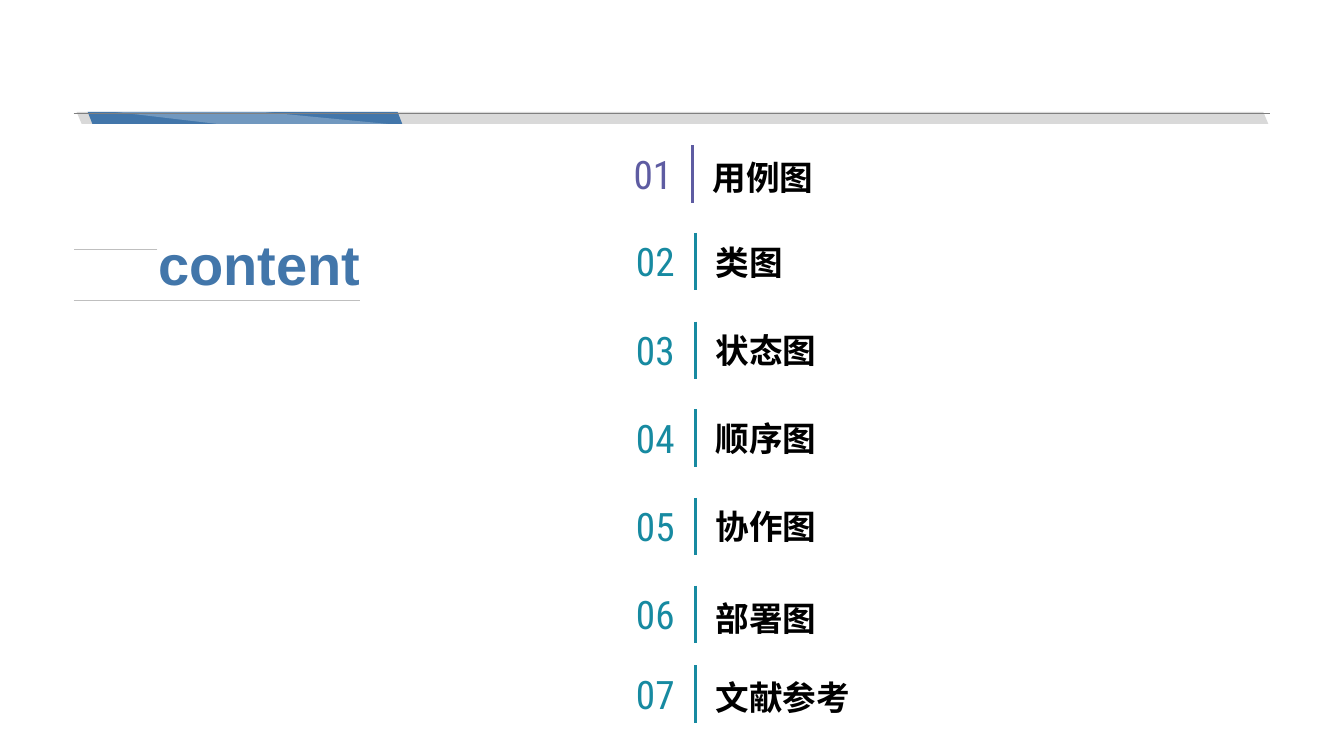
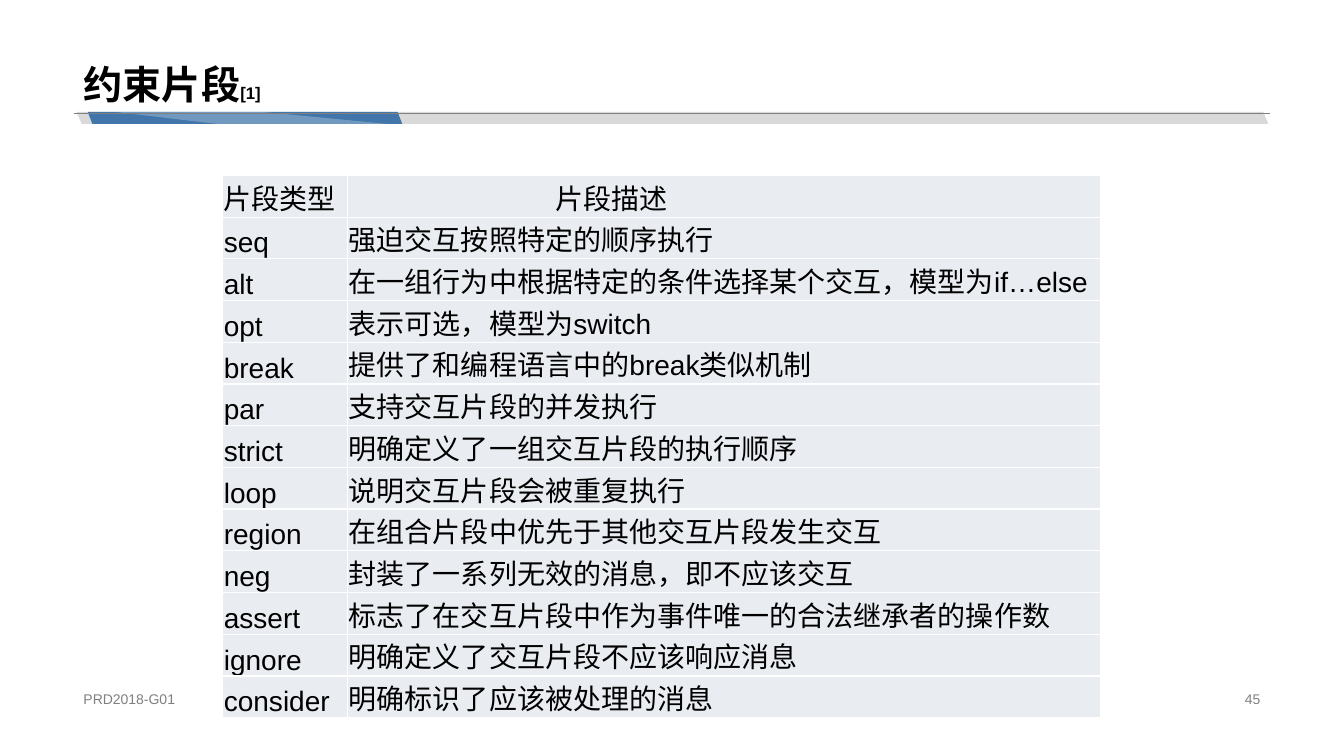
from lxml import etree
from pptx import Presentation
from pptx.dml.color import RGBColor
from pptx.enum.shapes import MSO_CONNECTOR, MSO_SHAPE
from pptx.enum.text import MSO_ANCHOR, MSO_AUTO_SIZE, PP_ALIGN
from pptx.oxml.ns import qn
from pptx.util import Inches, Pt

PARALLELOGRAM = MSO_SHAPE.PARALLELOGRAM
STRAIGHT = MSO_CONNECTOR.STRAIGHT
MIDDLE, BOTTOM = MSO_ANCHOR.MIDDLE, MSO_ANCHOR.BOTTOM
LEFT, CENTER, RIGHT = PP_ALIGN.LEFT, PP_ALIGN.CENTER, PP_ALIGN.RIGHT

WIDTH, HEIGHT = 13.33, 7.5
MARGIN = 0.73
RIGHT_EDGE = 12.6
TITLE_ONLY = 5
FONT, NUMBER_FONT = "Arial", "Roboto Condensed"
COLORS = {
    "blue": "4276AA", "band": "D9D9D9", "white": "FFFFFF", "black": "000000",
    "gray": "808080", "rule": "BFBFBF", "purple": "5E5CA2", "teal": "178AA1",
    "cell": "E9ECF1",
}

# Label, top of the row, distance from there to the bottom of the label
AGENDA = [
    ("用例图", 1.44, 0.57), ("类图", 2.31, 0.54), ("状态图", 3.19, 0.53),
    ("顺序图", 4.06, 0.53), ("协作图", 4.94, 0.53), ("部署图", 5.81, 0.57),
    ("文献参考", 6.6, 0.56),
]
FRAGMENTS = [
    ("片段类型", "片段描述"),
    ("seq", "强迫交互按照特定的顺序执行"),
    ("alt", "在一组行为中根据特定的条件选择某个交互，模型为if…else"),
    ("opt", "表示可选，模型为switch"),
    ("break", "提供了和编程语言中的break类似机制"),
    ("par", "支持交互片段的并发执行"),
    ("strict", "明确定义了一组交互片段的执行顺序"),
    ("loop", "说明交互片段会被重复执行"),
    ("region", "在组合片段中优先于其他交互片段发生交互"),
    ("neg", "封装了一系列无效的消息，即不应该交互"),
    ("assert", "标志了在交互片段中作为事件唯一的合法继承者的操作数"),
    ("ignore", "明确定义了交互片段不应该响应消息"),
    ("consider", "明确标识了应该被处理的消息"),
]


def rgb(name):
    return RGBColor.from_string(COLORS[name])


def fill_plain(shape, color):
    shape.shadow.inherit = False
    shape.fill.solid()
    shape.fill.fore_color.rgb = rgb(color)
    shape.line.fill.background()


def style_run(run, size, color="black", bold=False, font=FONT):
    run.font.name = font
    run.font.size = Pt(size)
    run.font.bold = bold
    run.font.color.rgb = rgb(color)


def add_line(slide, start, end, color, weight):
    line = slide.shapes.add_connector(STRAIGHT, *map(Inches, start + end))
    line.line.color.rgb = rgb(color)
    line.line.width = Pt(weight)
    etree.SubElement(line.element.spPr, qn("a:effectLst"))
    return line


def add_text(slide, box, text, size, color="black", align=LEFT, anchor=MIDDLE,
             bold=False, font=FONT, side_inset=0.1):
    frame = slide.shapes.add_textbox(*map(Inches, box)).text_frame
    frame.word_wrap = True
    frame.margin_left = frame.margin_right = Inches(side_inset)
    frame.vertical_anchor = anchor
    frame.text = text
    paragraph = frame.paragraphs[0]
    paragraph.alignment = align
    style_run(paragraph.runs[0], size, color, bold, font)


def set_title(slide, box, parts, color, anchor, wrap):
    """Place the title; parts holds (text, size) for each run."""
    title = slide.shapes.title
    title.left, title.top, title.width, title.height = map(Inches, box)
    frame = title.text_frame
    frame.auto_size = MSO_AUTO_SIZE.NONE
    frame.word_wrap = wrap
    frame.vertical_anchor = anchor
    paragraph = frame.paragraphs[0]
    paragraph.alignment = LEFT
    paragraph.line_spacing = 0.9
    for text, size in parts:
        run = paragraph.add_run()
        run.text = text
        style_run(run, size, color, bold=True)


def add_slanted_bar(slide, box, slant, color):
    bar = slide.shapes.add_shape(PARALLELOGRAM, *map(Inches, box))
    bar.adjustments[0] = slant
    bar.element.spPr.find(qn("a:xfrm")).set("flipH", "1")
    fill_plain(bar, color)
    return bar


def add_header_band(slide, layout, top, height):
    """Draw the band and hand it to the layout, so that every slide shows it."""
    bottom = top + height
    track = add_slanted_bar(slide, (0.76, top, 11.82, height), 0.42, "band")
    accent = add_slanted_bar(slide, (0.87, top, 3.12, height), 0.39, "blue")
    corners = [(3.85, bottom), (2.6, top), (1.14, top), (2.16, bottom)]
    points = [(Inches(x), Inches(y)) for x, y in corners]
    builder = slide.shapes.build_freeform(*points[0])
    builder.add_line_segments(points[1:], close=True)
    gloss = builder.convert_to_shape()
    fill_plain(gloss, "white")
    white = gloss.element.spPr.find(qn("a:solidFill"))[0]
    etree.SubElement(white, qn("a:alpha")).set("val", "25000")
    rule = add_line(slide, (MARGIN, 1.12), (RIGHT_EDGE, 1.12), "gray", 0.25)
    for number, shape in enumerate((track, accent, gloss, rule), 100):
        shape.element.xpath(".//p:cNvPr")[0].set("id", str(number))
        layout.shapes.element.append(shape.element)


def add_footer(slide, label, number):
    top, height = 6.82, 0.23
    add_text(slide, (MARGIN, top, 4.53, height), label, 10, "gray")
    add_text(slide, (RIGHT_EDGE - 3.18, top, 3.18, height), number, 10, "gray", RIGHT)


def add_agenda_row(slide, left, top, number, label, label_bottom, active):
    color = "purple" if active else "teal"
    number_width = 0.51 if active else 0.56
    bar = left + (0.65 if active else 0.68)
    add_text(slide, (left, top + 0.03, number_width, 0.5), f"{number:02}", 28,
             color, CENTER, font=NUMBER_FONT, side_inset=0)
    add_line(slide, (bar, top), (bar, top + 0.57), color, 2.25)
    add_text(slide, (bar + 0.1, top + label_bottom - 0.62, 3.95, 0.62), label, 24,
             anchor=BOTTOM, bold=True)


def build_agenda_slide(slide):
    set_title(slide, (1.47, 2.29, 2.21, 0.72), [("content", 40)], "blue", MIDDLE, False)
    add_line(slide, (1.56, 2.47), (MARGIN, 2.47), "rule", 0.5)
    add_line(slide, (MARGIN, 2.98), (3.57, 2.98), "rule", 0.5)
    for number, (label, top, label_bottom) in enumerate(AGENDA, 1):
        add_agenda_row(slide, 6.22, top, number, label, label_bottom, number == 1)


def set_borders(cell, color, weight):
    properties = cell._tc.get_or_add_tcPr()
    for position, side in enumerate(("a:lnL", "a:lnR", "a:lnT", "a:lnB")):
        border = etree.Element(qn(side), w=str(Pt(weight)))
        fill = etree.SubElement(border, qn("a:solidFill"))
        etree.SubElement(fill, qn("a:srgbClr")).set("val", COLORS[color])
        properties.insert(position, border)


def add_fragment_table(slide, left, top, column_widths, height):
    box = (left, top, sum(column_widths), height)
    table = slide.shapes.add_table(
        len(FRAGMENTS), len(column_widths), *map(Inches, box)).table
    table.first_row = table.horz_banding = False
    for column, width in zip(table.columns, column_widths):
        column.width = Inches(width)
    for row, texts in zip(table.rows, FRAGMENTS):
        row.height = Inches(height / len(FRAGMENTS))
        for cell, text in zip(row.cells, texts):
            cell.text = text
            style_run(cell.text_frame.paragraphs[0].runs[0], 20)
            cell.vertical_anchor = BOTTOM
            cell.margin_left = cell.margin_right = cell.margin_top = Inches(0.01)
            cell.margin_bottom = 0
            cell.fill.solid()
            cell.fill.fore_color.rgb = rgb("cell")
            set_borders(cell, "white", 1)
    table.cell(0, 1).margin_left = Inches(2.06)


def build_fragment_slide(slide):
    set_title(slide, (MARGIN, 0, RIGHT_EDGE - MARGIN, 1.12),
              [("约束片段", 28), ("[1]", 12)], "black", BOTTOM, True)
    add_footer(slide, "PRD2018-G01", "45")
    add_fragment_table(slide, 2.21, 1.74, (1.24, 7.47), 5.38)


def main():
    presentation = Presentation()
    presentation.slide_width = Inches(WIDTH)
    presentation.slide_height = Inches(HEIGHT)
    layout = presentation.slide_layouts[TITLE_ONLY]
    agenda = presentation.slides.add_slide(layout)
    add_header_band(agenda, layout, 1.11, 0.12)
    build_agenda_slide(agenda)
    build_fragment_slide(presentation.slides.add_slide(layout))
    presentation.save("out.pptx")


if __name__ == "__main__":
    main()
